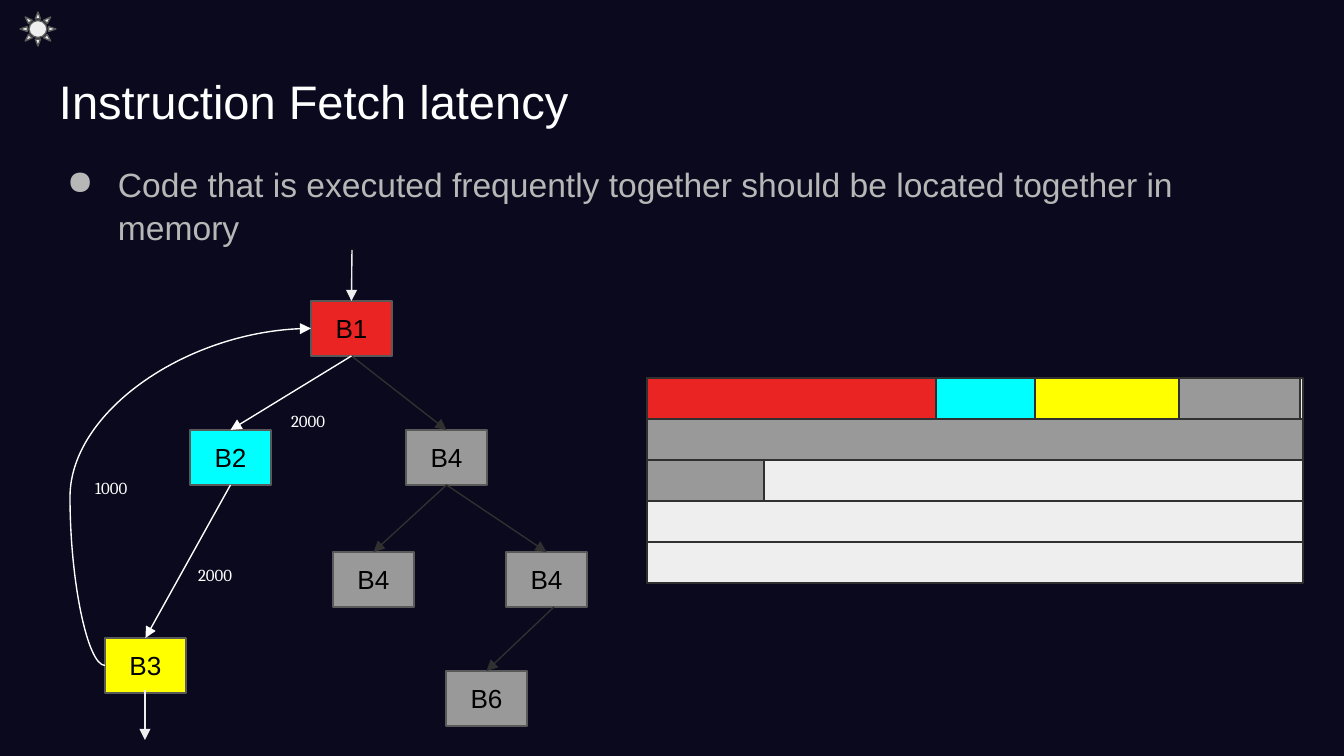
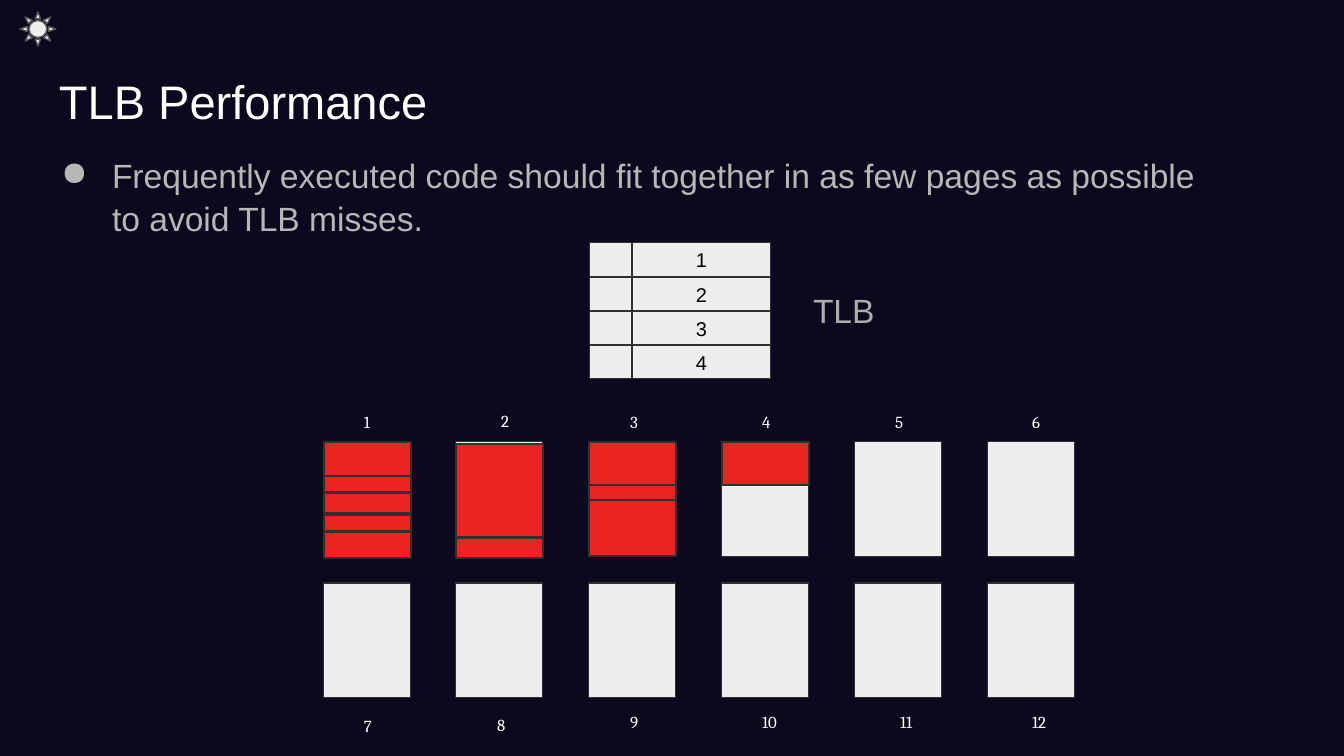
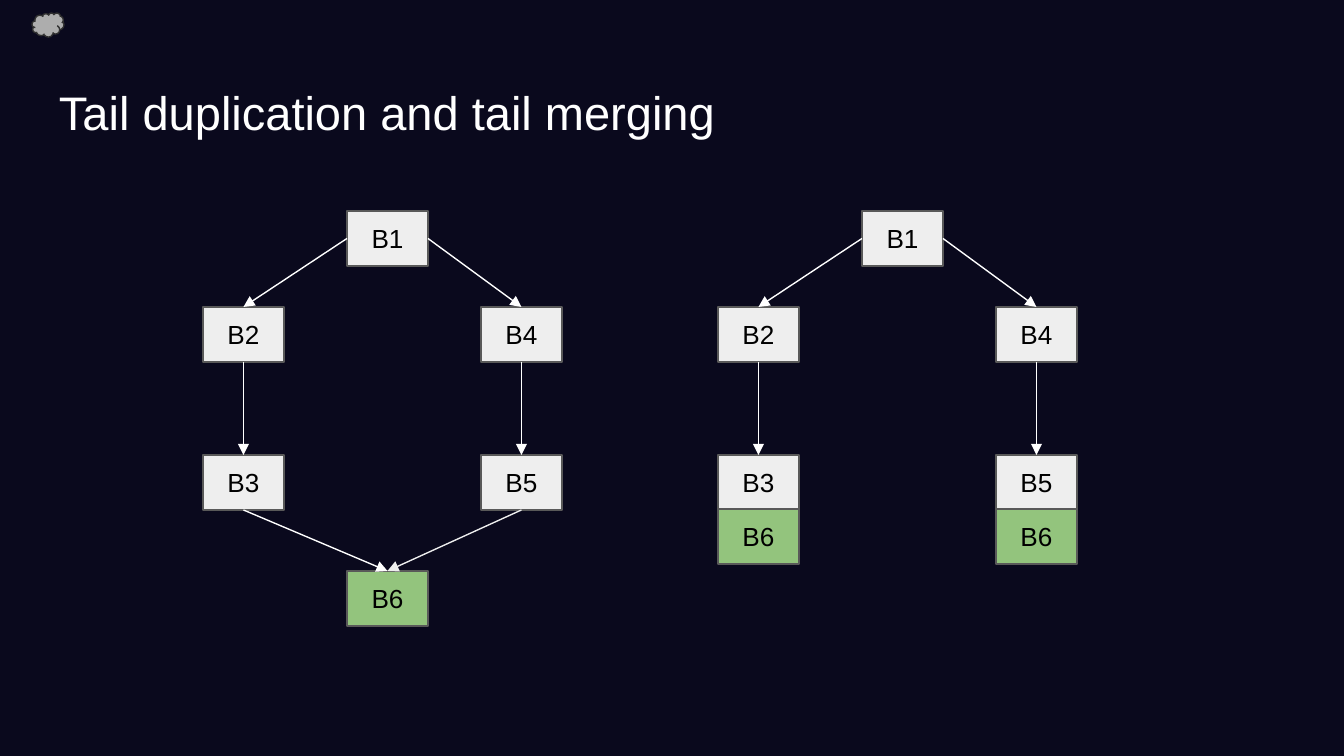
"""Build three slides on code layout: fetch latency, TLB performance and tail duplication."""
from lxml import etree
from pptx import Presentation
from pptx.dml.color import RGBColor
from pptx.enum.shapes import MSO_CONNECTOR, MSO_SHAPE
from pptx.enum.text import MSO_ANCHOR, MSO_AUTO_SIZE, PP_ALIGN
from pptx.oxml.ns import qn
from pptx.util import Pt

EMU_PER_PX = 914400 / 134.4
RECTANGLE, SUN, CLOUD = MSO_SHAPE.RECTANGLE, MSO_SHAPE.SUN, MSO_SHAPE.CLOUD
STRAIGHT, CURVE = MSO_CONNECTOR.STRAIGHT, MSO_CONNECTOR.CURVE
LEFT, CENTER = PP_ALIGN.LEFT, PP_ALIGN.CENTER
TOP_ANCHOR, MIDDLE_ANCHOR = MSO_ANCHOR.TOP, MSO_ANCHOR.MIDDLE
NO_AUTOFIT = MSO_AUTO_SIZE.NONE
TOP, LEFT_SIDE, BOTTOM, RIGHT_SIDE = range(4)

NAVY = RGBColor(0x0A, 0x09, 0x1D)
WHITE = RGBColor(0xFF, 0xFF, 0xFF)
BLACK = RGBColor(0x00, 0x00, 0x00)
PALE = RGBColor(0xEE, 0xEE, 0xEE)
BODY_GRAY = RGBColor(0xB7, 0xB7, 0xB7)
SOFT_GRAY = RGBColor(0xAD, 0xAD, 0xAD)
GRAY = RGBColor(0x99, 0x99, 0x99)
EDGE = RGBColor(0x59, 0x59, 0x59)
DARK = RGBColor(0x30, 0x30, 0x30)
RED = RGBColor(0xEA, 0x23, 0x23)
CYAN = RGBColor(0x00, 0xFF, 0xFF)
YELLOW = RGBColor(0xFF, 0xFF, 0x00)
GREEN = RGBColor(0x93, 0xC4, 0x7D)

SANS, SERIF = "Arial", "Cambria"
INSET, CELL_INSET = 13, 11
NODE_WIDTH, NODE_HEIGHT = 81, 55
THIN, REGULAR = 0.57, 0.75
SUN_BOX, CLOUD_BOX = (20, 12, 36, 34), (32, 13, 32, 24)

FETCH_TITLE = "Instruction Fetch latency"
FETCH_POINT = "Code that is executed frequently together should be located together in memory"
FETCH_NODES = {
    "B1": (311, 301, RED),
    "B2": (190, 430, CYAN),
    "B3": (105, 638, YELLOW),
    "B4": (406, 430, GRAY),
    "B4 left": (333, 552, GRAY),
    "B4 right": (506, 552, GRAY),
    "B6": (446, 671, GRAY),
}
FETCH_ARROWS = [
    (("B1", BOTTOM), ("B4", TOP), DARK),
    (("B4", BOTTOM), ("B4 left", TOP), DARK),
    (("B4", BOTTOM), ("B4 right", TOP), DARK),
    ((554, 607), ("B6", TOP), DARK),
    (("B1", BOTTOM), ("B2", TOP), WHITE),
    (("B2", BOTTOM), ("B3", TOP), WHITE),
    ((352, 250), ("B1", TOP), PALE),
    ((145, 690), (145, 740), PALE),
]
LOOP_BEND = -17000
EDGE_COUNTS = [("2000", 278, 398), ("2000", 185, 552), ("1000", 82, 465)]
MEMORY_LEFT, MEMORY_TOP, MEMORY_WIDTH, MEMORY_ROW = 647, 378, 656, 41
MEMORY_ROWS = [
    (PALE, [(289, RED), (99, CYAN), (144, YELLOW), (121, GRAY)]),
    (GRAY, []),
    (PALE, [(117, GRAY)]),
    (PALE, []),
    (PALE, []),
]

TLB_TITLE = "TLB Performance"
TLB_POINT = ("Frequently executed code should fit together in as few pages "
             "as possible to avoid TLB misses.")
TLB_ENTRIES = ["1", "2", "3", "4"]
TLB_TOP, TLB_ROW = 243, 34
TAG_LEFT, TAG_WIDTH, ENTRY_WIDTH = 590, 42, 139
PAGE_COLUMNS, PAGE_LEFT, PAGE_SPAN = 6, 324, 664
PAGE_TOPS, PAGE_WIDTH, PAGE_HEIGHT = (442, 583), 87, 115
PAGE_CODE = [
    [(442, 34), (476, 16), (493, 20), (515, 16), (532, 26)],
    [(444, 93), (538, 20)],
    [(442, 43), (485, 16), (500, 56)],
    [(442, 43)],
]
PAGE_LABELS = [
    ("1", 351, 399), ("2", 488, 398), ("3", 617, 399),
    ("4", 749, 399), ("5", 882, 399), ("6", 1019, 399),
    ("7", 351, 703), ("8", 484, 702), ("9", 617, 699),
    ("10", 749, 699), ("11", 887, 699), ("12", 1019, 699),
]

TAIL_TITLE = "Tail duplication and tail merging"
TAIL_SHIFT = 515
TAIL_NODES = {
    "B1": (347, 211, PALE),
    "B2": (203, 307, PALE),
    "B4": (481, 307, PALE),
    "B3": (203, 455, PALE),
    "B5": (481, 455, PALE),
}
MERGED_TAIL = {"B6": (347, 571, GREEN)}
COPIED_TAILS = {"B6 left": (203, 509, GREEN), "B6 right": (481, 509, GREEN)}
TAIL_ARROWS = [
    (("B1", LEFT_SIDE), ("B2", TOP), WHITE),
    (("B1", RIGHT_SIDE), ("B4", TOP), WHITE),
    (("B4", BOTTOM), ("B5", TOP), WHITE),
    (("B2", BOTTOM), ("B3", TOP), WHITE),
]
MERGE_ARROWS = [
    (("B3", BOTTOM), ("B6", TOP), WHITE),
    (("B5", BOTTOM), ("B6", TOP), PALE),
]


def px(*lengths):
    """Turn pixel lengths into EMU."""
    return [round(length * EMU_PER_PX) for length in lengths]


def write(shape, text, size, color, font=SANS, align=LEFT, anchor=TOP_ANCHOR,
          inset=INSET, spacing=None):
    """Put one formatted paragraph into a shape and return the paragraph."""
    frame = shape.text_frame
    frame.text = text
    frame.word_wrap = True
    frame.auto_size = NO_AUTOFIT
    frame.vertical_anchor = anchor
    (frame.margin_left, frame.margin_top,
     frame.margin_right, frame.margin_bottom) = px(inset, inset, inset, inset)
    paragraph = frame.paragraphs[0]
    paragraph.alignment = align
    if spacing:
        paragraph.line_spacing = spacing
    run_font = paragraph.runs[0].font
    run_font.name, run_font.size, run_font.color.rgb = font, Pt(size), color
    return paragraph


def add_box(slide, box, fill, line=DARK, weight=REGULAR, kind=RECTANGLE):
    """Add a filled, outlined preset shape."""
    shape = slide.shapes.add_shape(kind, *px(*box))
    shape.shadow.inherit = False
    shape.fill.solid()
    shape.fill.fore_color.rgb = fill
    shape.line.color.rgb = line
    shape.line.width = Pt(weight)
    return shape


def add_label(slide, box, text, size=9, color=WHITE, font=SERIF):
    """Add a plain text box."""
    write(slide.shapes.add_textbox(*px(*box)), text, size, color, font)


def add_point(slide, box, text):
    """Add the bulleted statement under a title."""
    shape = slide.shapes.add_textbox(*px(*box))
    paragraph = write(shape, text, 18, BODY_GRAY, spacing=1.06)
    margin, indent = px(67, -51)
    properties = paragraph._p.get_or_add_pPr()
    properties.set("marL", str(margin))
    properties.set("indent", str(indent))
    bullet_color = etree.SubElement(properties, qn("a:buClr"))
    etree.SubElement(bullet_color, qn("a:srgbClr"), val=str(BODY_GRAY))
    etree.SubElement(properties, qn("a:buChar"), char="●")


def add_nodes(slide, nodes, shift=0):
    """Add the basic blocks of a flow graph and return them by name."""
    shapes = {}
    for name, (left, top, fill) in nodes.items():
        shape = add_box(slide, (left + shift, top, NODE_WIDTH, NODE_HEIGHT), fill, EDGE)
        write(shape, name.split()[0], 14, BLACK, align=CENTER, anchor=MIDDLE_ANCHOR)
        shapes[name] = shape
    return shapes


def add_arrow(slide, nodes, begin, end, color, kind=STRAIGHT):
    """Add an arrow whose ends are points or (node name, side) pairs."""
    begin_joined, end_joined = begin[0] in nodes, end[0] in nodes
    begin_point = (0, 0) if begin_joined else begin
    end_point = (0, 0) if end_joined else end
    connector = slide.shapes.add_connector(kind, *px(*begin_point, *end_point))
    if begin_joined:
        connector.begin_connect(nodes[begin[0]], begin[1])
    if end_joined:
        connector.end_connect(nodes[end[0]], end[1])
    connector.line.color.rgb = color
    connector.line.width = Pt(REGULAR)
    etree.SubElement(connector.line._get_or_add_ln(), qn("a:tailEnd"), type="triangle")
    etree.SubElement(connector._element.spPr, qn("a:effectLst"))
    return connector


def add_slide(presentation, title, title_top, icon, icon_box, icon_fill, icon_line):
    """Add a slide with its title and corner icon."""
    slide = presentation.slides.add_slide(presentation.slide_layouts[5])
    shape = slide.shapes.title
    shape.left, shape.top, shape.width, shape.height = px(46, title_top, 1252, 85)
    write(shape, title, 25.2, WHITE, spacing=1.08)
    add_box(slide, icon_box, icon_fill, icon_line, kind=icon)
    return slide


def build_fetch_slide(presentation):
    """Show a hot path next to its place in memory."""
    slide = add_slide(presentation, FETCH_TITLE, 55, SUN, SUN_BOX, PALE, EDGE)
    add_point(slide, (38, 149, 1261, 66), FETCH_POINT)
    for row, (base, segments) in enumerate(MEMORY_ROWS):
        top = MEMORY_TOP + row * MEMORY_ROW
        add_box(slide, (MEMORY_LEFT, top, MEMORY_WIDTH, MEMORY_ROW), base)
        left = MEMORY_LEFT
        for width, fill in segments:
            add_box(slide, (left, top, width, MEMORY_ROW), fill)
            left += width
    nodes = add_nodes(slide, FETCH_NODES)
    for begin, end, color in FETCH_ARROWS:
        add_arrow(slide, nodes, begin, end, color)
    loop = add_arrow(slide, nodes, ("B3", LEFT_SIDE), ("B1", LEFT_SIDE), WHITE, CURVE)
    adjustments = loop._element.spPr.find(qn("a:prstGeom")).get_or_add_avLst()
    etree.SubElement(adjustments, qn("a:gd"), name="adj1", fmla=f"val {LOOP_BEND}")
    for text, left, top in EDGE_COUNTS:
        add_label(slide, (left, top, 77, 44), text)


def build_tlb_slide(presentation):
    """Show TLB entries above the pages that hold code."""
    slide = add_slide(presentation, TLB_TITLE, 55, SUN, SUN_BOX, PALE, EDGE)
    add_point(slide, (32, 140, 1212, 93), TLB_POINT)
    for row, text in enumerate(TLB_ENTRIES):
        top = TLB_TOP + row * TLB_ROW
        add_box(slide, (TAG_LEFT, top, TAG_WIDTH, TLB_ROW), PALE, weight=THIN)
        entry = add_box(slide, (TAG_LEFT + TAG_WIDTH, top, ENTRY_WIDTH, TLB_ROW),
                        PALE, weight=THIN)
        write(entry, text, 10.7, BLACK, align=CENTER, anchor=MIDDLE_ANCHOR,
              inset=CELL_INSET)
    add_label(slide, (800, 277, 157, 56), "TLB", 18, SOFT_GRAY, SANS)
    lefts = [PAGE_LEFT + PAGE_SPAN * column // (PAGE_COLUMNS - 1)
             for column in range(PAGE_COLUMNS)]
    for top in PAGE_TOPS:
        for left in lefts:
            add_box(slide, (left, top, PAGE_WIDTH, PAGE_HEIGHT), PALE, weight=THIN)
    for left, blocks in zip(lefts, PAGE_CODE):
        for top, height in blocks:
            add_box(slide, (left, top, PAGE_WIDTH, height), RED)
    for text, left, top in PAGE_LABELS:
        add_label(slide, (left, top, 18 + 16 * len(text), 44), text)


def build_tail_slide(presentation):
    """Compare a merged tail with duplicated tails."""
    slide = add_slide(presentation, TAIL_TITLE, 66, CLOUD, CLOUD_BOX, SOFT_GRAY, DARK)
    graphs = [
        (TAIL_NODES | MERGED_TAIL, TAIL_ARROWS + MERGE_ARROWS, 0),
        (TAIL_NODES | COPIED_TAILS, TAIL_ARROWS, TAIL_SHIFT),
    ]
    for blocks, arrows, shift in graphs:
        nodes = add_nodes(slide, blocks, shift)
        for begin, end, color in arrows:
            add_arrow(slide, nodes, begin, end, color)


def main():
    """Build and save the presentation."""
    presentation = Presentation()
    presentation.slide_width, presentation.slide_height = px(1344, 756)
    background = presentation.slide_master.background.fill
    background.solid()
    background.fore_color.rgb = NAVY
    build_fetch_slide(presentation)
    build_tlb_slide(presentation)
    build_tail_slide(presentation)
    presentation.save("out.pptx")


if __name__ == "__main__":
    main()
